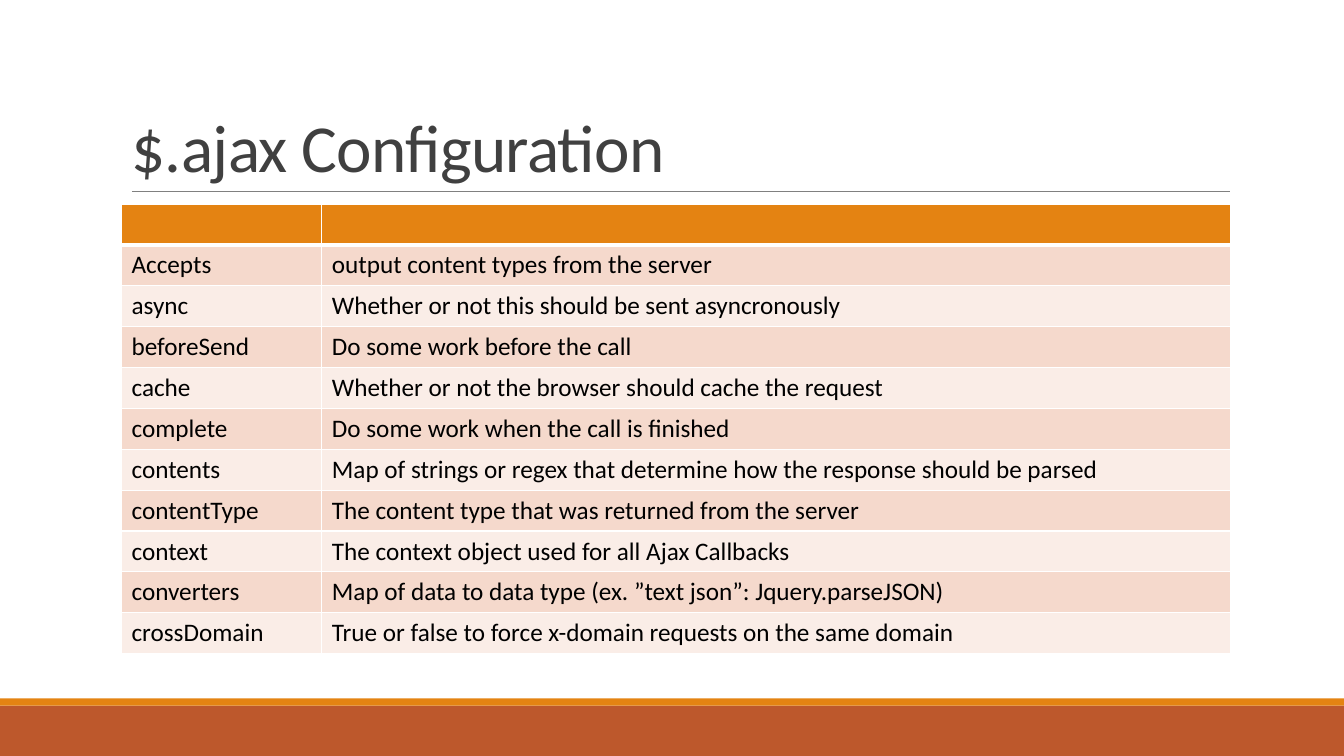
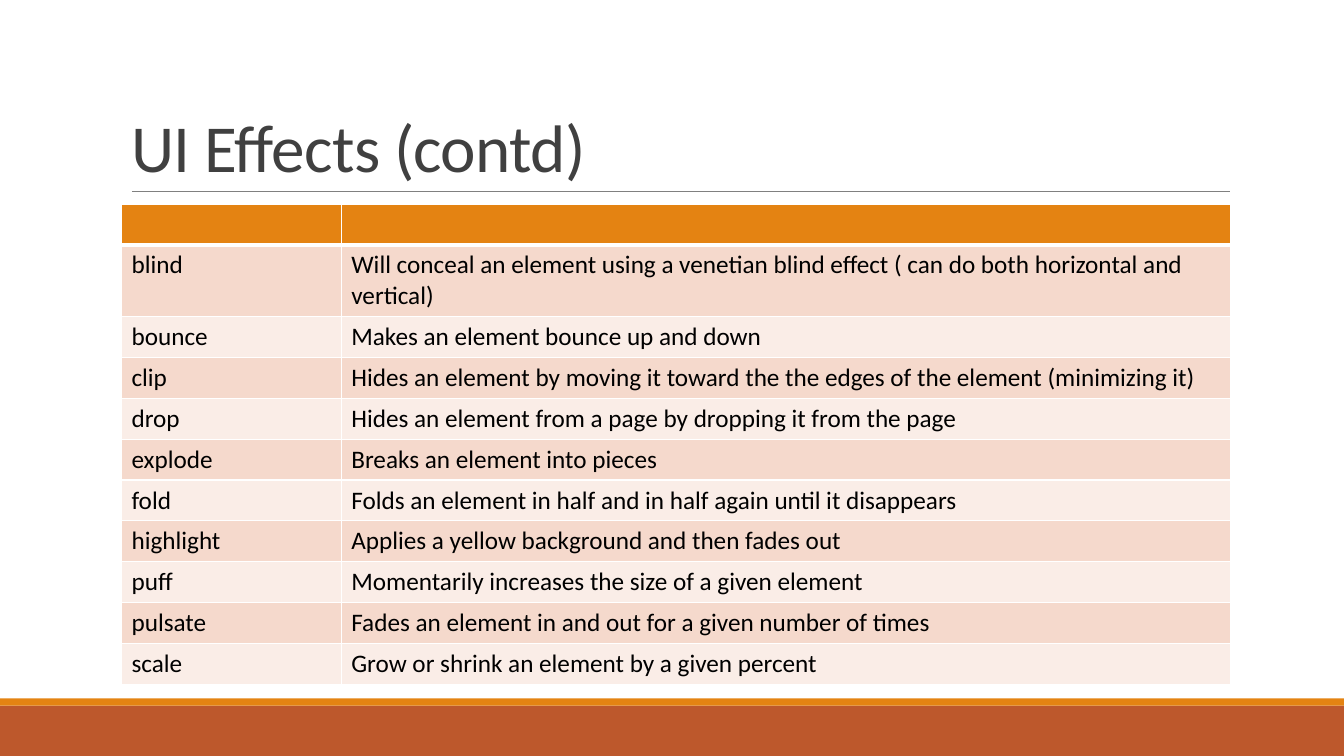
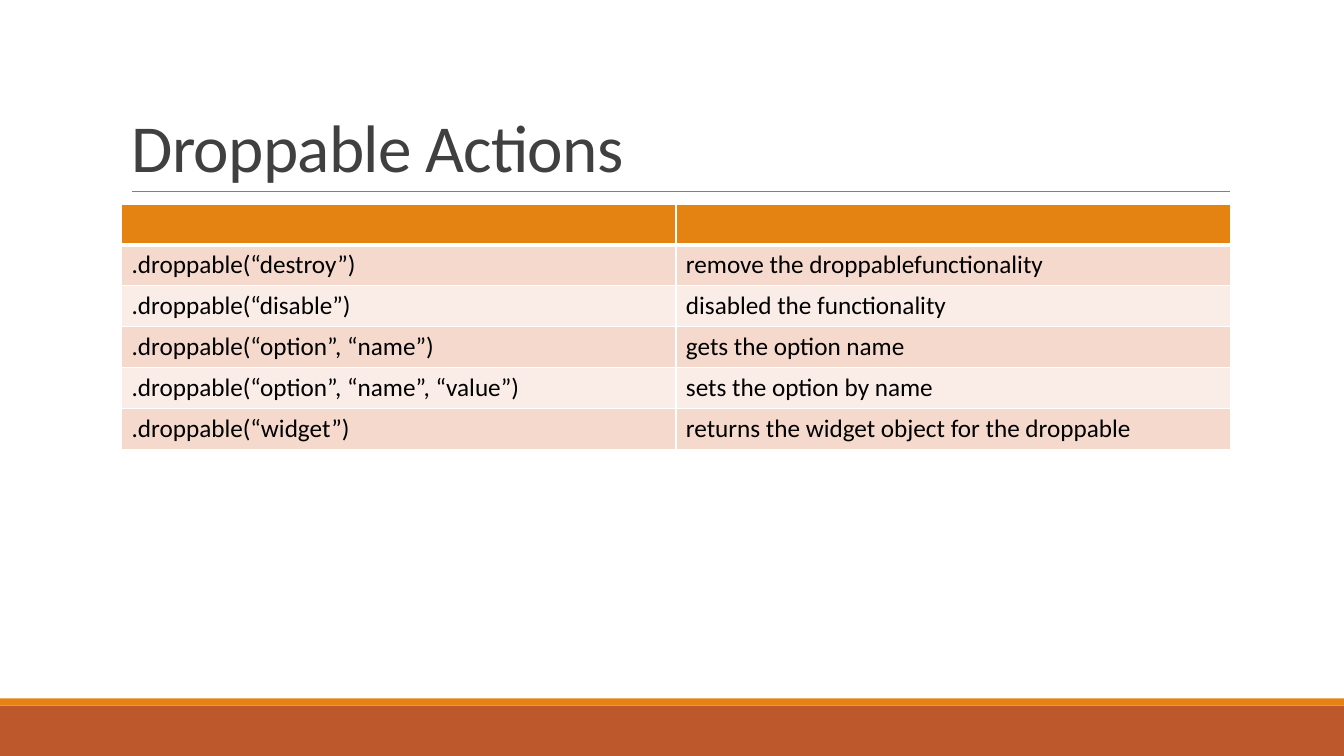
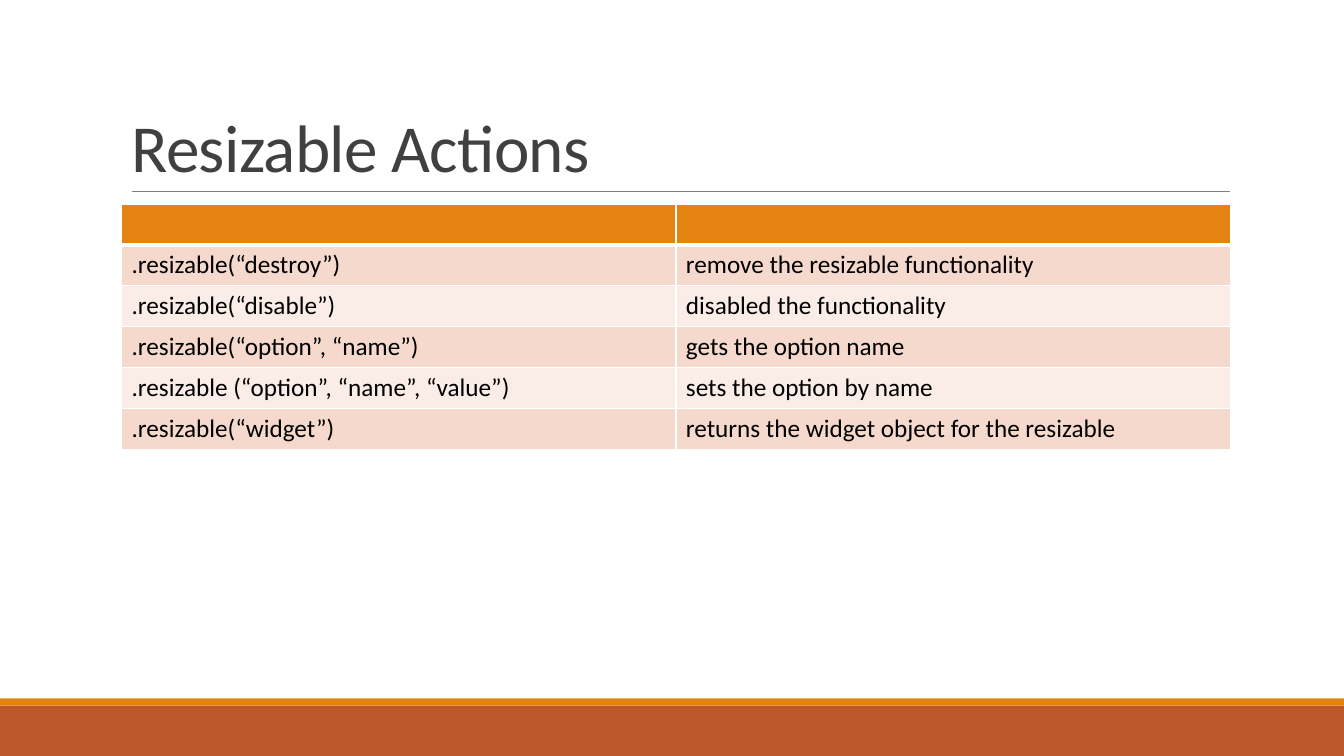
"""Build four reference-table slides that share one title style and footer bands."""
import dataclasses

import lxml.etree
import pptx
import pptx.dml.color
import pptx.enum.shapes
import pptx.enum.text
import pptx.oxml.ns
import pptx.util

Pt = pptx.util.Pt


@dataclasses.dataclass(frozen=True)
class Theme:
    """Colours, type and line widths of the deck."""
    font: str = "Calibri"
    title_size: float = 48
    cell_size: float = 18
    title_spacing: int = -50
    title: str = "404040"
    text: str = "000000"
    rule: str = "808080"
    border: str = "FFFFFF"
    footer: str = "BD582C"
    accent: str = "E48312"
    stripes: tuple = ("F5D9CC", "FAEDE7")
    rule_width: float = 0.5
    border_width: float = 1
    header_border_width: float = 3


@dataclasses.dataclass(frozen=True)
class Box:
    """A rectangle in points."""
    left: float
    top: float
    width: float
    height: float

    def lengths(self):
        """Return left, top, width and height as lengths."""
        return [Pt(value) for value in dataclasses.astuple(self)]


THEME = Theme()
PAGE = Box(0, 0, 960, 540)
TITLE = Box(86.8, 22.6, 792, 114.2)
TABLE = Box(86.8, 145.7, 792, 321.2)
FOOTER = Box(0, 498.9, 960, 41.1)
ACCENT_HEIGHT = 5.1
RULE_INSET = 7.5
ROW_HEIGHT = 29.2

AJAX_ROWS = [
    ("Accepts", "output content types from the server"),
    ("async", "Whether or not this should be sent asyncronously"),
    ("beforeSend", "Do some work before the call"),
    ("cache", "Whether or not the browser should cache the request"),
    ("complete", "Do some work when the call is finished"),
    ("contents", "Map of strings or regex that determine how the response should be parsed"),
    ("contentType", "The content type that was returned from the server"),
    ("context", "The context object used for all Ajax Callbacks"),
    ("converters", "Map of data to data type (ex. ”text json”: Jquery.parseJSON)"),
    ("crossDomain", "True or false to force x-domain requests on the same domain"),
]
EFFECT_ROWS = [
    ("blind", "Will conceal an element using a venetian blind effect "
              "( can do both horizontal and vertical)"),
    ("bounce", "Makes an element bounce up and down"),
    ("clip", "Hides an element by moving it toward the the edges of the element (minimizing it)"),
    ("drop", "Hides an element from a page by dropping it from the page"),
    ("explode", "Breaks an element into pieces"),
    ("fold", "Folds an element in half and in half again until it disappears"),
    ("highlight", "Applies a yellow background and then fades out"),
    ("puff", "Momentarily increases the size of a given element"),
    ("pulsate", "Fades an element in and out for a given number of times"),
    ("scale", "Grow or shrink an element by a given percent"),
]


def action_rows(widget, destroy_target, setter):
    """Return the action rows of a widget, whose set call is written as setter."""
    return [
        (f".{widget}(“destroy”)", f"remove the {destroy_target}"),
        (f".{widget}(“disable”)", "disabled the functionality"),
        (f".{widget}(“option”, “name”)", "gets the option name"),
        (f".{setter}(“option”, “name”, “value”)", "sets the option by name"),
        (f".{widget}(“widget”)", f"returns the widget object for the {widget}"),
    ]


SLIDES = [
    ("$.ajax Configuration", 143.1, AJAX_ROWS),
    ("UI Effects (contd)", 157, EFFECT_ROWS),
    ("Droppable Actions", 396,
     action_rows("droppable", "droppablefunctionality", "droppable")),
    ("Resizable Actions", 396,
     action_rows("resizable", "resizable functionality", "resizable ")),
]


def colour(code):
    """Return a colour from its hexadecimal code."""
    return pptx.dml.color.RGBColor.from_string(code)


def format_text(paragraph, size, code):
    """Set font, size and colour on the runs of a paragraph."""
    for span in paragraph.runs:
        span.font.name = THEME.font
        span.font.size = Pt(size)
        span.font.color.rgb = colour(code)


def add_band(page, box, code):
    """Add a plain rectangle in one colour."""
    band = page.shapes.add_shape(
        pptx.enum.shapes.MSO_SHAPE.RECTANGLE, *box.lengths())
    band.shadow.inherit = False
    band.fill.solid()
    band.fill.fore_color.rgb = colour(code)
    band.line.fill.background()


def add_footer(page, box):
    """Add the footer with its accent strip along the top."""
    add_band(page, Box(box.left, box.top + ACCENT_HEIGHT, box.width,
                       box.height - ACCENT_HEIGHT), THEME.footer)
    add_band(page, Box(box.left, box.top, box.width, ACCENT_HEIGHT), THEME.accent)


def add_title(page, box, text):
    """Place the title in its box, with a rule along the bottom."""
    title = page.shapes.title
    title.left, title.top, title.width, title.height = box.lengths()
    frame = title.text_frame
    frame.text = text
    frame.word_wrap = True
    frame.auto_size = pptx.enum.text.MSO_AUTO_SIZE.NONE
    frame.vertical_anchor = pptx.enum.text.MSO_ANCHOR.BOTTOM
    paragraph = frame.paragraphs[0]
    paragraph.alignment = pptx.enum.text.PP_ALIGN.LEFT
    paragraph.line_spacing = 0.85
    format_text(paragraph, THEME.title_size, THEME.title)
    for span in paragraph.runs:
        span.font._element.set("spc", str(THEME.title_spacing))

    bottom = Pt(box.top + box.height)
    rule = page.shapes.add_connector(
        pptx.enum.shapes.MSO_CONNECTOR.STRAIGHT,
        Pt(box.left + RULE_INSET), bottom,
        Pt(box.left + box.width), bottom)
    rule.line.color.rgb = colour(THEME.rule)
    rule.line.width = Pt(THEME.rule_width)
    lxml.etree.SubElement(
        rule._element.spPr, pptx.oxml.ns.qn("a:effectLst"))


def set_borders(cell, top, bottom):
    """Draw the four borders of a cell, with the given top and bottom widths."""
    qn = pptx.oxml.ns.qn
    properties = cell._tc.get_or_add_tcPr()
    widths = {"a:lnL": THEME.border_width, "a:lnR": THEME.border_width,
              "a:lnT": top, "a:lnB": bottom}
    for tag, width in widths.items():
        line = lxml.etree.SubElement(properties, qn(tag), w=str(int(Pt(width))))
        fill = lxml.etree.SubElement(line, qn("a:solidFill"))
        lxml.etree.SubElement(fill, qn("a:srgbClr"), val=THEME.border)


def add_reference_table(page, box, first_width, rows):
    """Add a striped two-column table under an empty header row."""
    entries = [("", ""), *rows]
    height = ROW_HEIGHT * len(entries)
    table = page.shapes.add_table(
        len(entries), 2, Pt(box.left), Pt(box.top), Pt(box.width), Pt(height)).table
    table.columns[0].width = Pt(first_width)
    table.columns[1].width = Pt(box.width - first_width)
    for number, entry in enumerate(entries):
        table.rows[number].height = Pt(ROW_HEIGHT)
        top = THEME.header_border_width if number == 1 else THEME.border_width
        bottom = THEME.header_border_width if number == 0 else THEME.border_width
        fill = THEME.stripes[(number - 1) % 2] if number else THEME.accent
        for column, text in enumerate(entry):
            cell = table.cell(number, column)
            set_borders(cell, top, bottom)
            cell.fill.solid()
            cell.fill.fore_color.rgb = colour(fill)
            cell.text_frame.text = text
            format_text(cell.text_frame.paragraphs[0], THEME.cell_size, THEME.text)


def add_table_slide(deck, title, first_width, rows):
    """Add one slide with footer, title and reference table."""
    page = deck.slides.add_slide(deck.slide_layouts.get_by_name("Title Only"))
    add_footer(page, FOOTER)
    add_title(page, TITLE, title)
    add_reference_table(page, TABLE, first_width, rows)


def main():
    """Build and save the deck."""
    deck = pptx.Presentation()
    deck.slide_width, deck.slide_height = Pt(PAGE.width), Pt(PAGE.height)
    for title, first_width, rows in SLIDES:
        add_table_slide(deck, title, first_width, rows)
    deck.save("out.pptx")


main()
